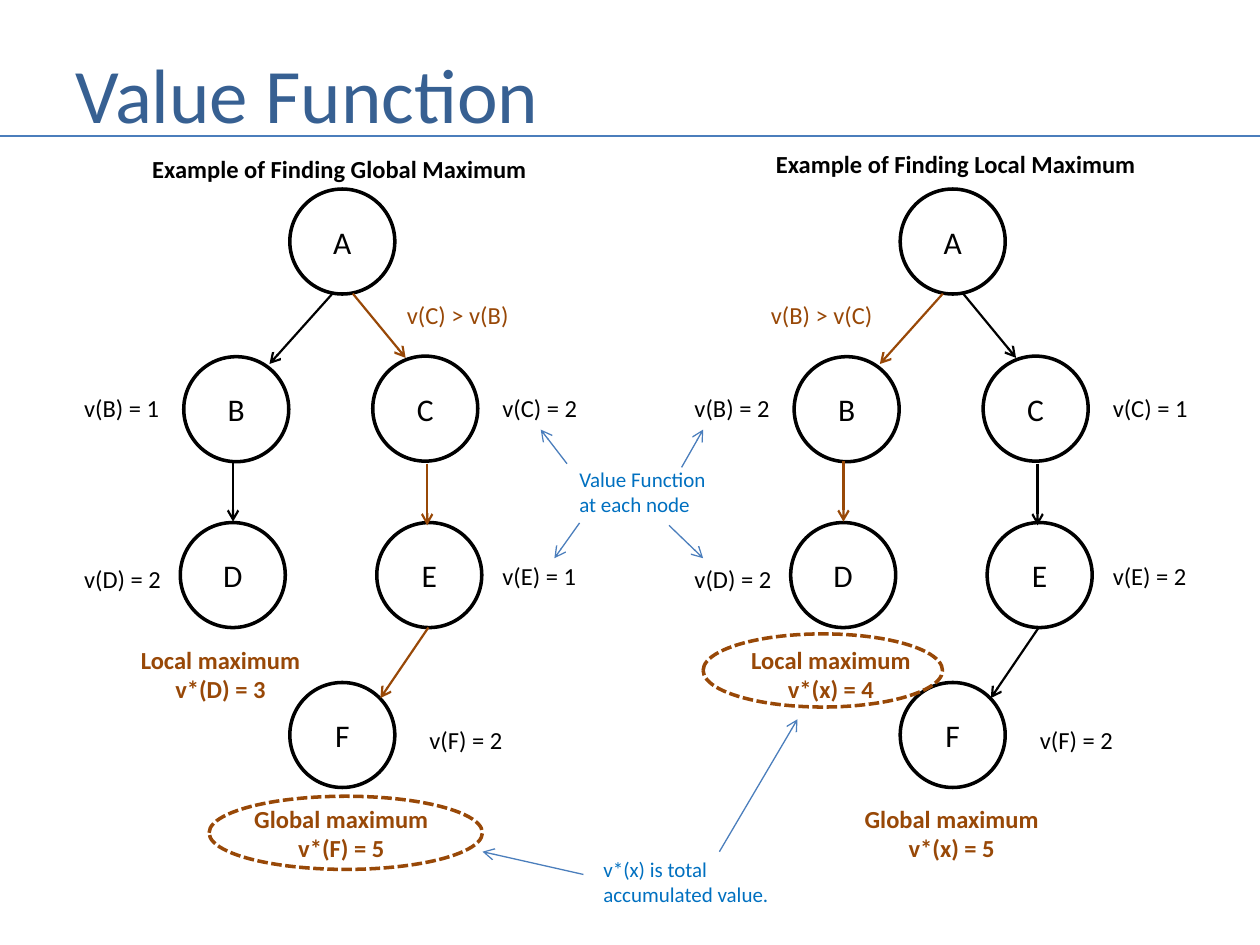
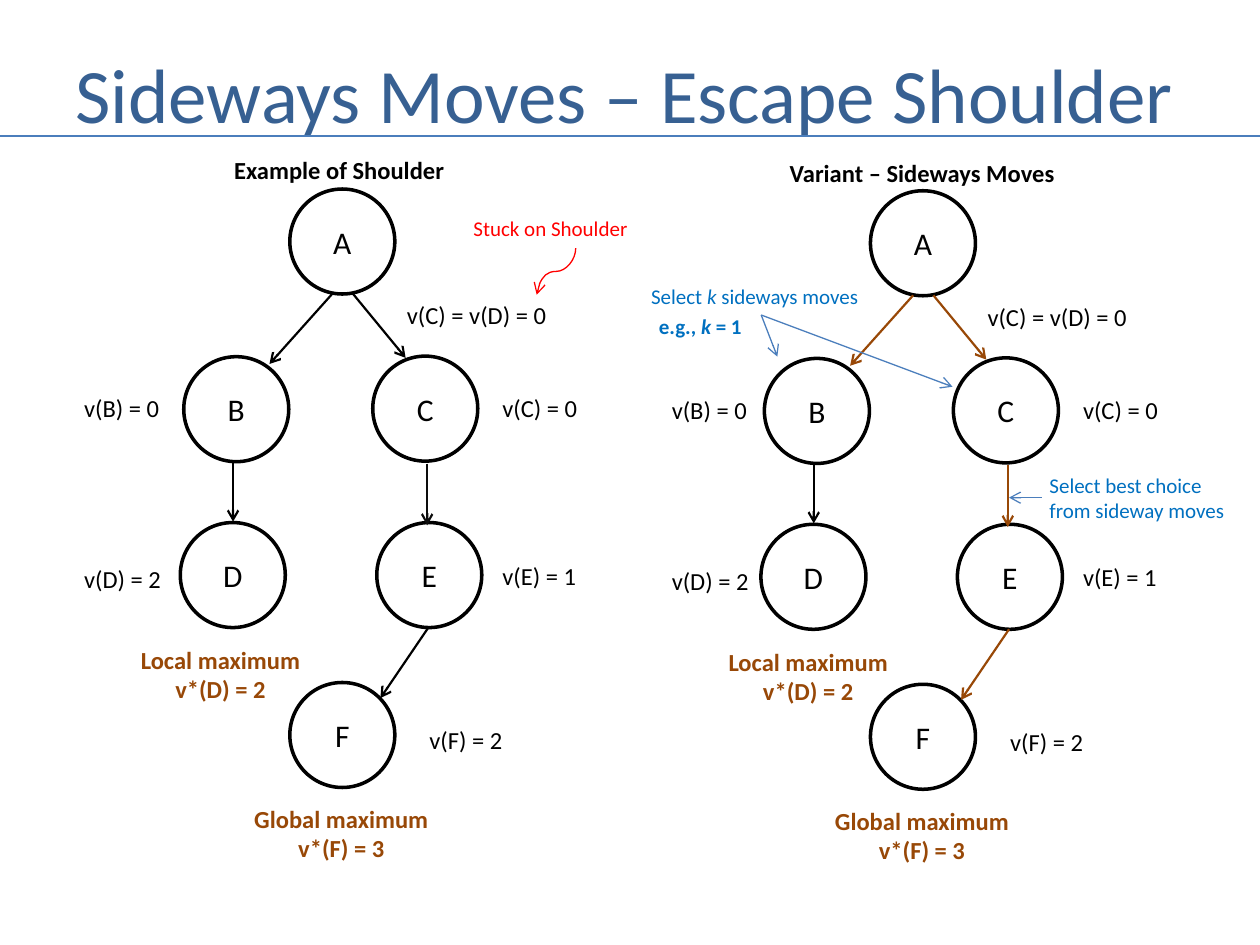
from lxml import etree
from pptx import Presentation
from pptx.dml.color import RGBColor
from pptx.enum.dml import MSO_LINE
from pptx.enum.shapes import MSO_CONNECTOR as Connector, MSO_SHAPE as Shape
from pptx.enum.text import MSO_ANCHOR as Anchor, MSO_AUTO_SIZE as AutoSize, PP_ALIGN as Align
from pptx.oxml.ns import qn
from pptx.util import Pt

COLORS = {
    "title": "376092",
    "rule": "4B7EBC",
    "black": "000000",
    "ink": "0D0D0D",
    "brown": "984807",
    "blue": "0070C0",
    "red": "FF0000",
}
FONT = "Calibri"
NODE_SIZE = 60
NODES = {
    "A": (124.6, 0), "B": (64, 95.8), "C": (172, 95.5),
    "D": (62, 190.6), "E": (174.3, 190.6), "F": (124.6, 282),
}
EDGES = {
    "AB": (149, 59.8, 113, 100), "AC": (160.6, 59.8, 190.8, 96.5),
    "BD": (92.2, 155.5, 92.2, 190.1), "CE": (203.1, 157, 203.1, 192.2),
    "EF": (203.8, 250.6, 176.4, 290.9),
}
VALUE_PLACES = {
    "B": (0, 113), "C": (239, 113), "D": (0, 211), "E": (239, 208.8), "F": (197.3, 303),
}
LEFT_VALUES = "BD"


def rgb(name):
    """Return the named colour."""
    return RGBColor.from_string(COLORS[name])


def set_font(paragraph, size, color, bold=None):
    """Format a whole paragraph."""
    font = paragraph.font
    font.name, font.size, font.bold = FONT, Pt(size), bold
    font.color.rgb = rgb(color)


def add_label(slide, left, top, width, lines, size=14, color="black", bold=None):
    """Add unwrapped text; underscores enclose italic words."""
    height = len(lines) * size * 1.2 + 7.2
    frame = slide.shapes.add_textbox(Pt(left), Pt(top), Pt(width), Pt(height)).text_frame
    frame.word_wrap = False
    frame.auto_size = AutoSize.SHAPE_TO_FIT_TEXT
    for index, line in enumerate(lines):
        paragraph = frame.add_paragraph() if index else frame.paragraphs[0]
        set_font(paragraph, size, color, bold)
        for position, words in enumerate(line.split("_")):
            run = paragraph.add_run()
            run.text = words
            if position % 2:
                run.font.italic = True
    return frame


def add_line(slide, ends, color, width, arrow=True, kind=Connector.STRAIGHT):
    """Add a connector between two points."""
    connector = slide.shapes.add_connector(kind, *map(Pt, ends))
    connector.line.color.rgb = rgb(color)
    connector.line.width = Pt(width)
    properties = connector._element.spPr
    if arrow:
        etree.SubElement(properties.find(qn("a:ln")), qn("a:tailEnd"), type="arrow")
    etree.SubElement(properties, qn("a:effectLst"))
    return connector


def add_ellipse(slide, left, top, width, height, color="black"):
    """Add an unfilled ellipse."""
    ellipse = slide.shapes.add_shape(Shape.OVAL, Pt(left), Pt(top), Pt(width), Pt(height))
    ellipse.shadow.inherit = False
    ellipse.fill.background()
    ellipse.line.color.rgb = rgb(color)
    ellipse.line.width = Pt(2)
    return ellipse


def add_ring(slide, left, top, width, height):
    """Add a dashed ring around a maximum."""
    add_ellipse(slide, left, top, width, height, "brown").line.dash_style = MSO_LINE.SQUARE_DOT


def add_node(slide, left, top, letter):
    """Add a lettered tree node."""
    frame = add_ellipse(slide, left, top, NODE_SIZE, NODE_SIZE).text_frame
    frame.vertical_anchor = Anchor.MIDDLE
    paragraph = frame.paragraphs[0]
    paragraph.text = letter
    paragraph.alignment = Align.CENTER
    set_font(paragraph, 18, "black")


def add_maximum(slide, left, top, width, name, value):
    """Add a maximum's name with its value centred below."""
    frame = add_label(slide, left, top, width, [name, value], color="brown", bold=True)
    frame.paragraphs[1].alignment = Align.CENTER


def add_tree(slide, left, top, heading, branch, values, local, best, edge_colors, left_shift=0):
    """Draw a search tree from its top left corner."""
    x, y, width, text = heading
    add_label(slide, left + x, top + y, width, [text], bold=True)
    for letter, (x, y) in NODES.items():
        add_node(slide, left + x, top + y, letter)
    for edge, (x1, y1, x2, y2) in EDGES.items():
        ends = (left + x1, top + y1, left + x2, top + y2)
        add_line(slide, ends, edge_colors.get(edge, "black"), 1.25)
    for (letter, (x, y)), value in zip(VALUE_PLACES.items(), values):
        shift = left_shift if letter in LEFT_VALUES else 0
        add_label(slide, left + x + shift, top + y, 58.5, [f"v({letter}) = {value}"])
    x, width, text, color = branch
    add_label(slide, left + x, top + 59.8, width, [text], color=color)
    add_maximum(slide, left + 32.4 + left_shift, top + 257, 106.6, "Local maximum", local)
    add_maximum(slide, left + 97.2, top + 347.8, 114.5, "Global maximum", best)


def add_callout(slide, left, top, width, lines, arrows=(), color="blue", bold=None):
    """Add a small note and arrows relative to its corner."""
    add_label(slide, left, top, width, lines, 12, color, bold)
    for x1, y1, x2, y2 in arrows:
        add_line(slide, (left + x1, top + y1, left + x2, top + y2), "rule", 0.75)


def add_stuck_note(slide, left, top):
    """Add the red note with its curved arrow."""
    add_callout(slide, left, top, 103.7, ["Stuck on Shoulder"], color="red")
    ends = (left + 41, top + 24.5, left + 67.7, top + 46.8)
    curve = add_line(slide, ends, "red", 0.75, kind=Connector.CURVE)
    curve._element.spPr.find(qn("a:xfrm")).set("rot", "5400000")


def add_titled_slide(presentation, text):
    """Add a slide with the shared title and rule."""
    slide = presentation.slides.add_slide(presentation.slide_layouts[5])
    title = slide.shapes.title
    title.left, title.top, title.width, title.height = Pt(36), Pt(21.6), Pt(653.8), Pt(62.6)
    frame = title.text_frame
    frame.text = text
    frame.vertical_anchor = Anchor.MIDDLE
    frame.auto_size = AutoSize.NONE
    frame.paragraphs[0].alignment = Align.LEFT
    set_font(frame.paragraphs[0], 44, "title")
    add_line(slide, (0, 77.8, 720, 77.8), "rule", 1.5, arrow=False)
    return slide


def build_value_function(presentation):
    """Build the slide that compares global and local maxima."""
    slide = add_titled_slide(presentation, "Value Function")
    add_tree(slide, 41, 108, (38.9, -23.8, 229.7, "Example of Finding Global Maximum"),
             (184.4, 74.2, "v(C) > v(B)", "brown"), (1, 2, 2, 1, 2),
             "v*(D) = 3", "v*(F) = 5", dict.fromkeys(("AC", "CE", "EF"), "brown"))
    add_tree(slide, 389.8, 108, (46.5, -26.6, 221, "Example of Finding Local Maximum"),
             (43.6, 74.2, "v(B) > v(C)", "brown"), (2, 1, 2, 2, 2),
             "v*(x) = 4", "v*(x) = 5", dict.fromkeys(("AB", "BD"), "brown"))
    add_ring(slide, 119.5, 455, 156.2, 41.8)
    add_ring(slide, 401.8, 362.2, 136.8, 41.8)
    add_callout(slide, 324, 262.8, 87, ["Value Function", "at each node"],
                [(0, 2.2, -15, -17.3), (7.2, 36, -7.2, 56.2),
                 (65.5, 4.3, 77.8, -17.3), (58.3, 37.4, 77.8, 56.2)])
    add_callout(slide, 337.7, 486, 109.4, ["v*(x) is total", "accumulated value."],
                [(-4.3, 13.7, -62, 0.7), (73.4, 0.7, 118, -75)])


def build_sideways_moves(presentation):
    """Build the slide on escaping a shoulder."""
    slide = add_titled_slide(presentation, "Sideways Moves – Escape Shoulder")
    values = (0, 0, 2, 1, 2)
    maxima = ("v*(D) = 2", "v*(F) = 3")
    branch = (184.4, 95, "v(C) = v(D) = 0", "black")
    add_tree(slide, 41, 108, (85.7, -23, 135.4, "Example of Shoulder"),
             branch, values, *maxima, {"CE": "ink"})
    add_tree(slide, 372.8, 109, (71.4, -22, 167, "Variant – Sideways Moves"),
             branch, values, *maxima,
             dict.fromkeys(("AB", "AC", "CE", "EF"), "brown"), left_shift=4)
    add_stuck_note(slide, 263.5, 119.5)
    add_callout(slide, 365, 158.4, 135.4, ["Select _k_ sideways moves"],
                [(70, 21.6, 79.2, 45.4), (70, 21.6, 179.3, 62.6)])
    add_callout(slide, 369.4, 175.7, 63.4, ["e.g., _k_ = 1"], bold=True)
    add_callout(slide, 592.6, 266.4, 118, ["Select best choice", "from sideway moves"],
                [(2.8, 18, -16, 18)])


def main():
    """Build and save the presentation."""
    presentation = Presentation()
    presentation.slide_width, presentation.slide_height = Pt(720), Pt(540)
    build_value_function(presentation)
    build_sideways_moves(presentation)
    presentation.save("out.pptx")


if __name__ == "__main__":
    main()
